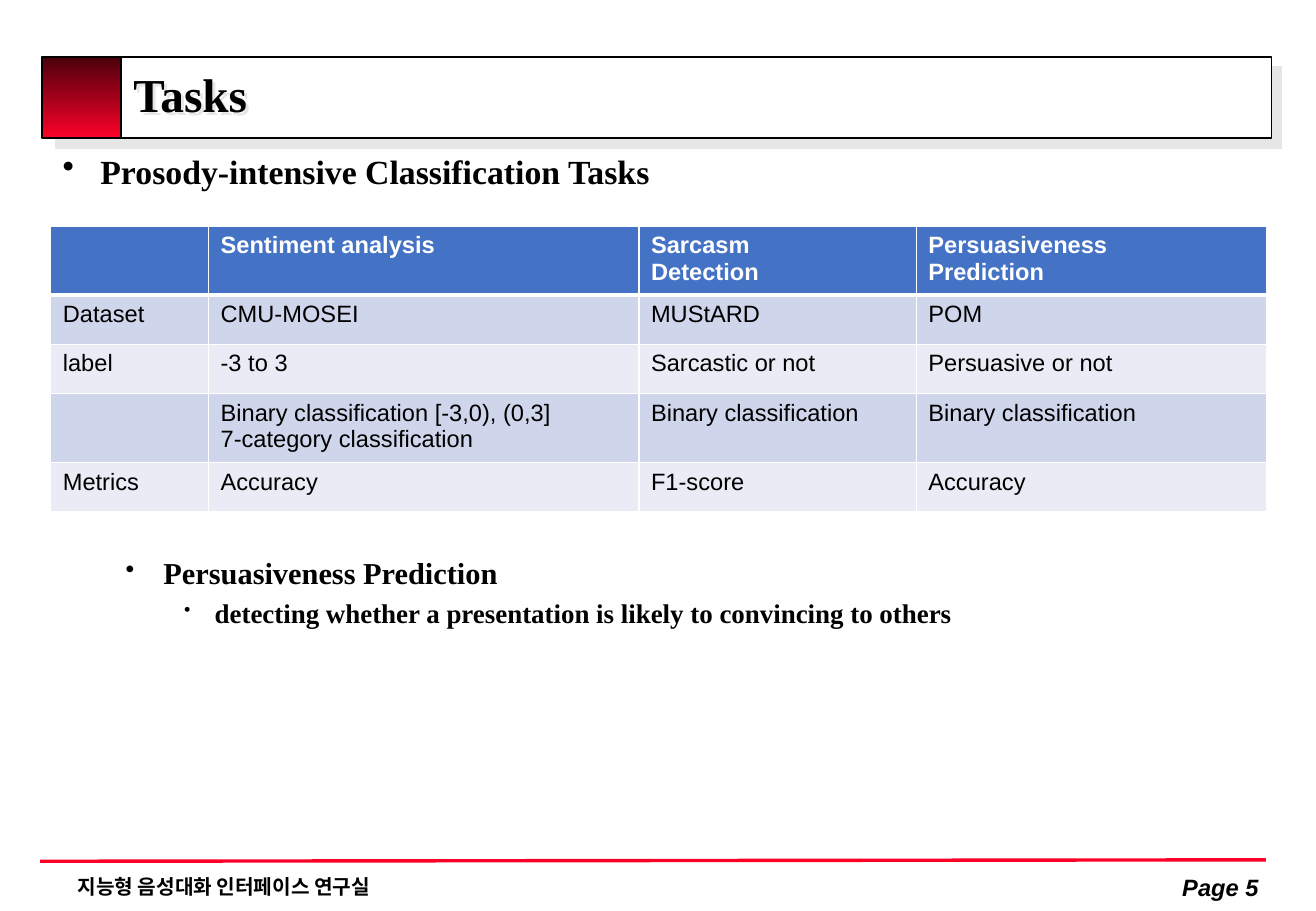
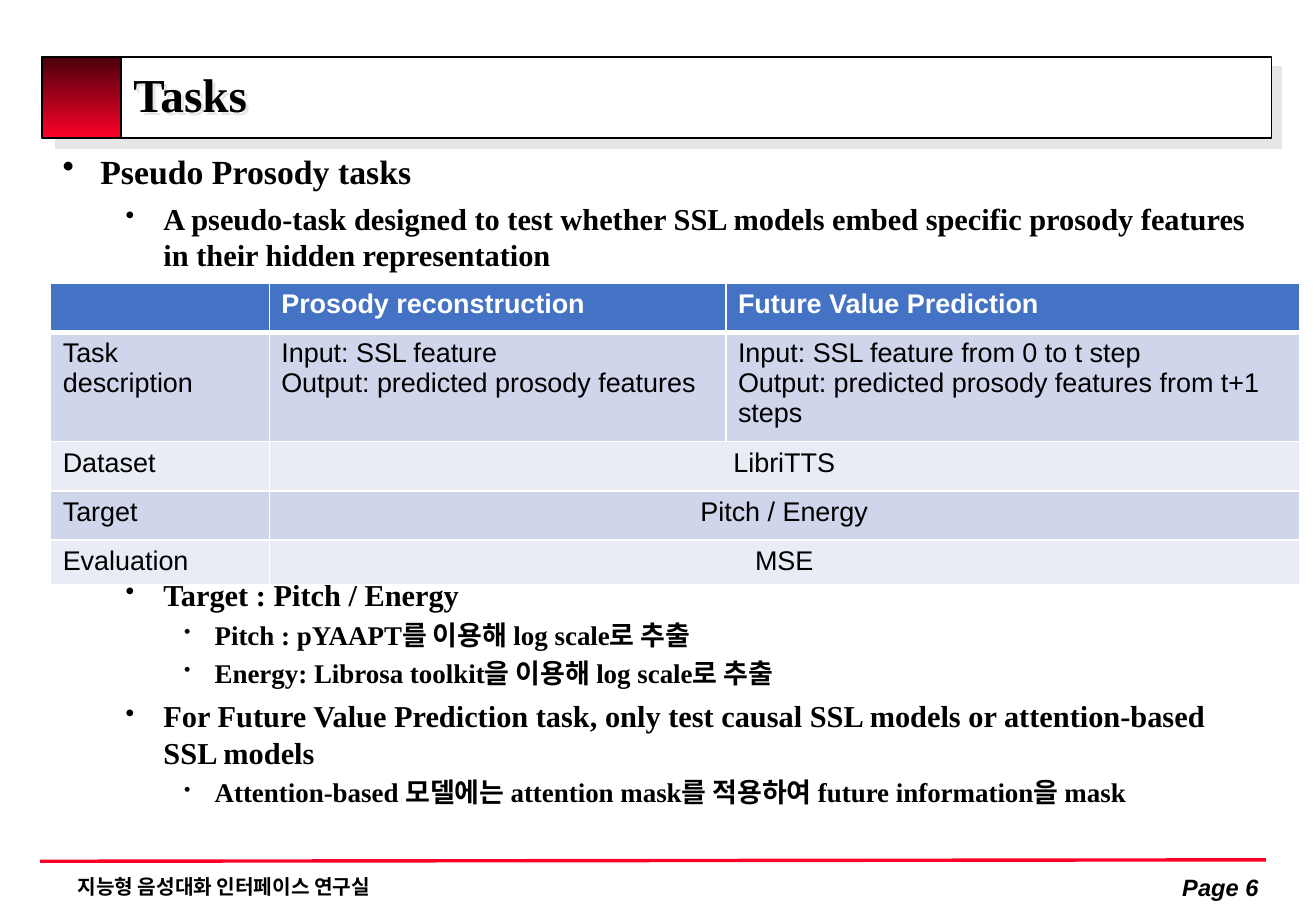
from pptx import Presentation, oxml as ox, util as u
from pptx.dml import color as dc
from pptx.enum import shapes as es, text as et
from pptx.oxml import ns

SERIF, SANS = "Times New Roman", "Arial"
BLACK, WHITE, RED, WINE, GREY = "000000", "FFFFFF", "FC0128", "4B000C", "E7E6E6"
HEAD, BANDS = "4472C4", ("CFD5EA", "E9EBF5")
# per level: size, left indent in cm, hanging in cm, space before and bullet size in %
LEVELS = ((20, 0.79, 0.79, 30, 100), (18, 2.11, 0.79, 30, 85), (16, 3.18, 0.64, 20, 70))
LEFT, WIDE = 1.06, 25.7
RIGHT, CENTER = et.PP_ALIGN.RIGHT, et.PP_ALIGN.CENTER
MIDDLE = et.MSO_ANCHOR.MIDDLE


def rgb(code):
    return dc.RGBColor.from_string(code)


def cm(*nums):
    return [u.Cm(n) for n in nums]


def put(item, fmt):
    for key, val in fmt.items():
        setattr(item, key, val)


def node(tag, inner="", **attrs):
    """Make one DrawingML element."""
    text = "".join(f' {k}="{v}"' for k, v in attrs.items())
    return ox.parse_xml(f"<a:{tag} {ns.nsdecls('a')}{text}>{inner}</a:{tag}>")


def shade(shape, dist):
    """Give a shape, or the text of an unfilled one, a grey offset shadow."""
    shape.shadow.inherit = False
    props = shape._element.spPr
    props.remove(props.find(ns.qn("a:effectLst")))
    props.append(node("effectLst", f'<a:outerShdw dist="{u.Pt(dist)}" dir="2700000" algn="ctr" '
                      f'rotWithShape="0"><a:srgbClr val="{GREY}"/></a:outerShdw>'))


def write(para, words, size, font=SERIF, color=BLACK, bold=True, italic=False):
    para.text = words
    for run in para.runs:
        put(run.font, dict(size=u.Pt(size), name=font, bold=bold, italic=italic))
        run.font.color.rgb = rgb(color)


def label(slide, box, words, size, font=SANS, align=None, anchor=et.MSO_ANCHOR.TOP, italic=False):
    shape = slide.shapes.add_textbox(*cm(*box))
    frame = shape.text_frame
    put(frame, dict(word_wrap=True, vertical_anchor=anchor))
    para = frame.paragraphs[0]
    para.alignment = align
    write(para, words, size, font, italic=italic)
    return shape


def block(slide, box, fill=None):
    shape = slide.shapes.add_shape(es.MSO_SHAPE.RECTANGLE, *cm(*box))
    shape.shadow.inherit = False
    shape.line.color.rgb = rgb(BLACK)
    shape.line.width = u.Pt(1)
    if fill:
        shape.fill.solid()
        shape.fill.fore_color.rgb = rgb(fill)
    return shape


def banner(slide, box, title):
    x, y, w, h = box
    shade(block(slide, (x + 0.08, y, w - 0.08, h), WHITE), 8.5)
    tile = block(slide, (x, y, 1.65, h))
    tile.fill.gradient()
    tile.fill.gradient_angle = 270
    for stop, code in zip(tile.fill.gradient_stops, (WINE, RED)):
        stop.color.rgb = rgb(code)
    name = label(slide, (x + 1.66, y - 0.07, w - 1.6, h + 0.2), title, 28, SERIF, anchor=MIDDLE)
    name.text_frame.paragraphs[0].line_spacing = 0.8
    shade(name, 2.5)


def footer(slide, box, page):
    x, y, w, h = box
    rule = slide.shapes.add_connector(es.MSO_CONNECTOR.STRAIGHT, *cm(x, y + 0.03, x + w, y))
    rule.line.color.rgb = rgb(RED)
    rule.line.width = u.Pt(2)
    rule._element.spPr.append(node("effectLst"))
    label(slide, (x + 0.53, y + 0.18, 18.39, h), "지능형 음성대화 인터페이스 연구실", 12)
    label(slide, (x + w - 2.87, y + 0.16, 2.97, h), f"Page {page}", 14,
          align=RIGHT, anchor=MIDDLE, italic=True)


def points(slide, box, items):
    """Write a bulleted list of (level, words)."""
    frame = slide.shapes.add_textbox(*cm(*box)).text_frame
    frame.word_wrap = True
    for i, (level, words) in enumerate(items):
        para = frame.add_paragraph() if i else frame.paragraphs[0]
        size, left, hang, gap, dot = LEVELS[level]
        para.level = level
        write(para, words, size)
        props = para._p.get_or_add_pPr()
        props.set("marL", str(u.Cm(left)))
        props.set("indent", str(-u.Cm(hang)))
        props.append(node("spcBef", f'<a:spcPct val="{gap * 1000}"/>'))
        props.append(node("buSzPct", val=dot * 1000))
        props.append(node("buChar", char="•"))


def edge(cell, base):
    """Draw white cell borders; base is the width of the lower one."""
    props = cell._tc.get_or_add_tcPr()
    for i, (side, width) in enumerate((("L", 1), ("R", 1), ("T", 1), ("B", base))):
        fill = f'<a:solidFill><a:srgbClr val="{WHITE}"/></a:solidFill>'
        props.insert(i, node(f"ln{side}", fill, w=u.Pt(width)))


def grid(slide, spot, cols, rows, data, size):
    """Draw a banded table with least row heights; None joins a cell to its left one."""
    box = cm(*spot, sum(cols), sum(rows))
    table = slide.shapes.add_table(len(rows), len(cols), *box).table
    for col, width in zip(table.columns, cols):
        col.width = u.Cm(width)
    for r, (high, line) in enumerate(zip(rows, data)):
        table.rows[r].height = u.Cm(high)
        for c, words in enumerate(line):
            cell = table.cell(r, c)
            cell.fill.solid()
            cell.fill.fore_color.rgb = rgb(BANDS[(r - 1) % 2] if r else HEAD)
            edge(cell, 1 if r else 3)
            if words is None:
                table.cell(r, c - 1).merge(cell)
                continue
            cell.text = words
            for para in cell.text_frame.paragraphs:
                write(para, para.text, size, SANS, BLACK if r else WHITE, not r)
                if None in line and c:
                    para.alignment = CENTER


def sheet(deck, page, top, chart, low, rest):
    """Add a task slide: points, a table and more points from height low."""
    slide = deck.slides.add_slide(deck.slide_layouts[6])
    banner(slide, (0.88, 1.19, 25.71, 1.7), "Tasks")
    points(slide, (LEFT, 3.02, WIDE, 1.2 * len(top)), top)
    points(slide, (LEFT, low, WIDE, 1.2 * len(rest)), rest)
    grid(slide, **chart)
    footer(slide, (0.84, 17.98, 25.63, 0.8), page)


def main():
    deck = Presentation()
    put(deck, dict(slide_width=u.Cm(27.52), slide_height=u.Cm(19.05)))
    sheet(deck, 5, [(0, "Prosody-intensive Classification Tasks")], dict(
        spot=(LEFT, 4.73), size=14,
        cols=(3.3, 9, 5.8, 7.32), rows=[1.03] * 5,
        data=(
            ("", "Sentiment analysis", "Sarcasm\nDetection", "Persuasiveness\nPrediction"),
            ("Dataset", "CMU-MOSEI", "MUStARD", "POM"),
            ("label", "-3 to 3", "Sarcastic or not", "Persuasive or not"),
            ("", "Binary classification [-3,0), (0,3]\n7-category classification",
             "Binary classification", "Binary classification"),
            ("Metrics", "Accuracy", "F1-score", "Accuracy"),
        )), 11.47, [
        (1, "Persuasiveness Prediction"),
        (2, "detecting whether a presentation is likely to convincing to others"),
    ])
    sheet(deck, 6, [
        (0, "Pseudo Prosody tasks"),
        (1, "A pseudo-task designed to test whether SSL models embed specific prosody features"
            "\vin their hidden representation"),
    ], dict(
        spot=(LEFT, 5.92), size=16,
        cols=(4.57, 9.55, 11.99), rows=[1.03] * 4 + [0.9],
        data=(
            ("", "Prosody reconstruction", "Future Value Prediction"),
            ("Task\ndescription", "Input: SSL feature\nOutput: predicted prosody features",
             "Input: SSL feature from 0 to t step\n"
             "Output: predicted prosody features from t+1 steps"),
            ("Dataset", "LibriTTS", None),
            ("Target", "Pitch / Energy", None),
            ("Evaluation", "MSE", None),
        )), 11.93, [
        (1, "Target : Pitch / Energy"),
        (2, "Pitch : pYAAPT를 이용해 log scale로 추출"),
        (2, "Energy: Librosa toolkit을 이용해 log scale로 추출"),
        (1, "For Future Value Prediction task, only test causal SSL models or attention-based"
            "\vSSL models"),
        (2, "Attention-based 모델에는 attention mask를 적용하여 future information을 mask"),
    ])
    deck.save("out.pptx")


if __name__ == "__main__":
    main()
